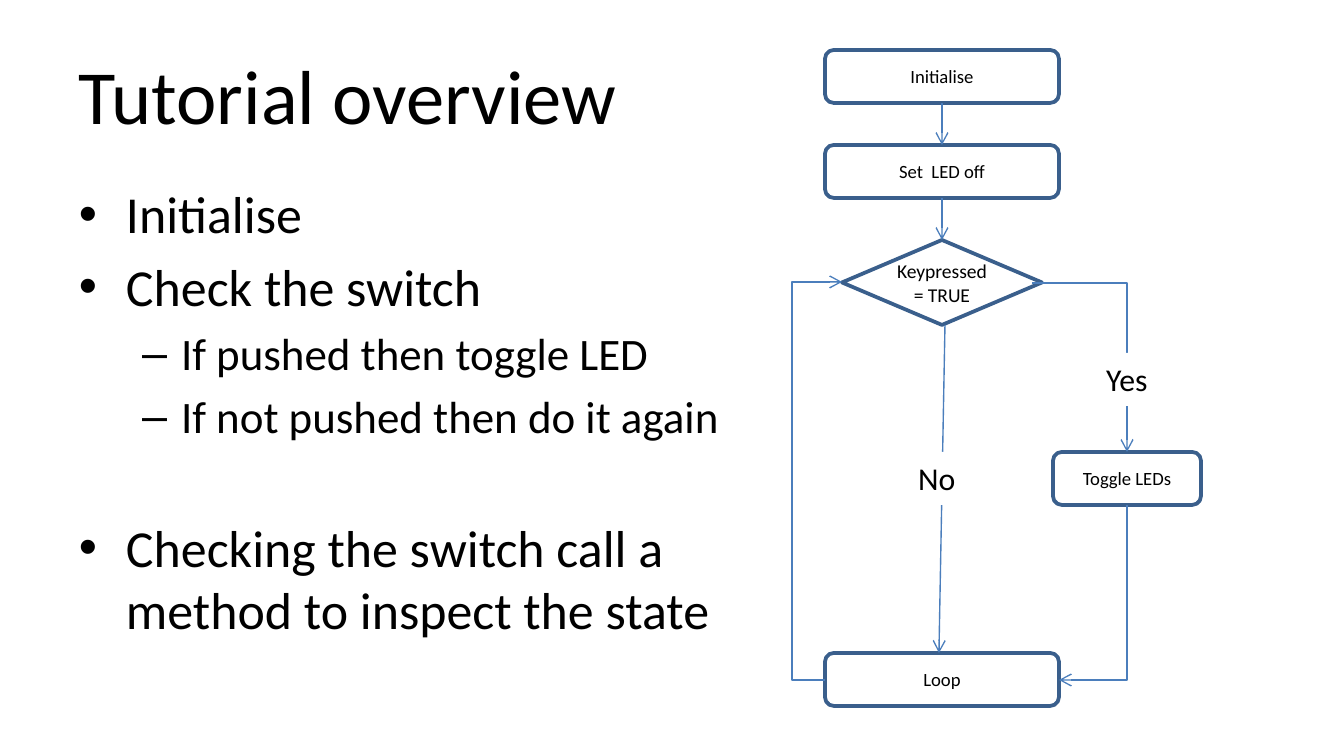
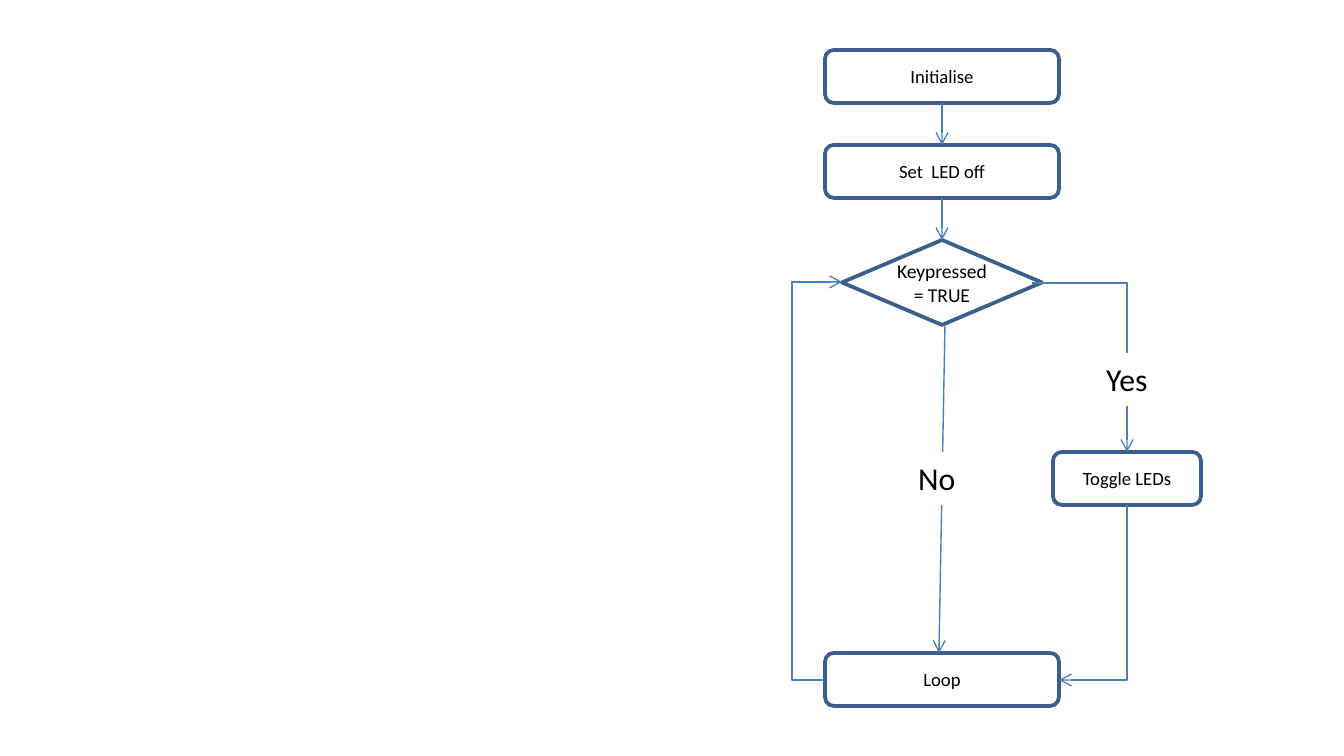
from lxml.etree import SubElement
from pptx import Presentation
from pptx.dml.color import RGBColor
from pptx.enum.shapes import MSO_CONNECTOR, MSO_SHAPE
from pptx.enum.text import MSO_ANCHOR, MSO_AUTO_SIZE, PP_ALIGN
from pptx.oxml.ns import qn
from pptx.util import Emu, Pt

FONT = "Calibri"
BLACK = RGBColor(0x00, 0x00, 0x00)
WHITE = RGBColor(0xFF, 0xFF, 0xFF)
OUTLINE = RGBColor(0x3A, 0x5F, 0x8C)
ARROW = RGBColor(0x4B, 0x7E, 0xBC)

STEP_LEFT, STEP_WIDTH, STEP_HEIGHT = 825, 234, 53
LEVELS = [(28, 47, -47), (24, 102, -39)]
TOP, BOTTOM = 0, 2


def px(length):
    return Emu(round(length * 914400 / 134.4))


def write(para, text, size, align=PP_ALIGN.LEFT, space=0):
    para.alignment = align
    para.space_before = Pt(space)
    span = para.add_run()
    span.text = text
    span.font.size = Pt(size)
    span.font.name = FONT
    span.font.color.rgb = BLACK


def set_insets(frame, side, end):
    frame.margin_left = frame.margin_right = px(side)
    frame.margin_top = frame.margin_bottom = px(end)


def place(holder, left, top, width, height, anchor):
    holder.left, holder.top = px(left), px(top)
    holder.width, holder.height = px(width), px(height)
    frame = holder.text_frame
    frame.auto_size = MSO_AUTO_SIZE.NONE
    frame.word_wrap = True
    frame.vertical_anchor = anchor
    set_insets(frame, 12, 6)
    return frame


def add_list(frame, items):
    for index, (level, text, space) in enumerate(items):
        para = frame.add_paragraph() if index else frame.paragraphs[0]
        size, margin, indent = LEVELS[level]
        para.level = level
        properties = para._p.get_or_add_pPr()
        properties.set("marL", str(px(margin)))
        properties.set("indent", str(px(indent)))
        write(para, text, 27.8 if level == 0 else 24.1, space=space)


def add_box(shapes, kind, left, top, width, height):
    box = shapes.add_shape(kind, px(left), px(top), px(width), px(height))
    box.shadow.inherit = False
    box.fill.solid()
    box.fill.fore_color.rgb = WHITE
    return box


def add_step(shapes, text, top, left=STEP_LEFT, width=STEP_WIDTH, height=STEP_HEIGHT,
             kind=MSO_SHAPE.FLOWCHART_ALTERNATE_PROCESS, size=10):
    box = add_box(shapes, kind, left, top, width, height)
    box.line.color.rgb = OUTLINE
    box.line.width = Pt(2)
    box.text_frame.word_wrap = True
    box.text_frame.vertical_anchor = MSO_ANCHOR.MIDDLE
    write(box.text_frame.paragraphs[0], text, size, align=PP_ALIGN.CENTER)
    return box


def add_label(shapes, text, left, top, width):
    box = add_box(shapes, MSO_SHAPE.RECTANGLE, left, top, width, STEP_HEIGHT)
    box.line.fill.background()
    frame = box.text_frame
    frame.word_wrap = False
    frame.auto_size = MSO_AUTO_SIZE.SHAPE_TO_FIT_TEXT
    frame.vertical_anchor = MSO_ANCHOR.TOP
    write(frame.paragraphs[0], text, 17)


def add_arrow(shapes, start, end, kind=MSO_CONNECTOR.STRAIGHT):
    arrow = shapes.add_connector(kind, *map(px, start + end))
    arrow.line.color.rgb = ARROW
    arrow.line.width = Pt(0.75)
    properties = arrow.element.spPr
    SubElement(properties.find(qn("a:ln")), qn("a:tailEnd"), type="arrow")
    SubElement(properties, qn("a:effectLst"))
    return arrow


def join_down(shapes, upper, lower):
    arrow = add_arrow(shapes, (0, 0), (0, 0))
    arrow.begin_connect(upper, BOTTOM)
    arrow.end_connect(lower, TOP)


def add_loop_back(shapes, start, end, turn):
    arrow = add_arrow(shapes, start, end, MSO_CONNECTOR.ELBOW)
    ratio = round(100000 * (turn - start[0]) / (end[0] - start[0]))
    guides = arrow.element.spPr.find(qn("a:prstGeom")).get_or_add_avLst()
    SubElement(guides, qn("a:gd"), name="adj1", fmla=f"val {ratio}")


def add_corner(shapes, start, end, down_first=False):
    if down_first:
        across, down = start[0] - end[0], end[1] - start[1]
        left = (start[0] + end[0] - down) / 2
        top = (start[1] + end[1] - across) / 2
        start, end = (left, top), (left + down, top + across)
    arrow = add_arrow(shapes, start, end, MSO_CONNECTOR.ELBOW)
    properties = arrow.element.spPr
    properties.find(qn("a:prstGeom")).set("prst", "bentConnector2")
    if down_first:
        properties.find(qn("a:xfrm")).set("rot", "5400000")


def add_flowchart(shapes):
    initialise = add_step(shapes, "Initialise", 50)
    led_off = add_step(shapes, "Set  LED off", 145)
    decision = add_step(shapes, "Keypressed = TRUE", 240, left=842, width=200, height=85,
                        kind=MSO_SHAPE.FLOWCHART_DECISION, size=10.5)
    set_insets(decision.text_frame, 0, 0)
    join_down(shapes, initialise, led_off)
    join_down(shapes, led_off, decision)
    add_step(shapes, "Loop", 653)
    add_loop_back(shapes, (825, 680), (842, 282), 792)
    add_step(shapes, "Toggle LEDs", 452, left=1053, width=148)
    add_arrow(shapes, (945, 325), (939, 653))
    add_corner(shapes, (1032, 283), (1127, 452))
    add_corner(shapes, (1127, 505), (1059, 680), down_first=True)
    add_label(shapes, "No", 905, 452, 64)
    add_label(shapes, "Yes", 1093, 353, 69)


def add_overview(deck):
    page = deck.slides.add_slide(deck.slide_layouts[1])
    title, body = page.placeholders
    frame = place(title, 67, 31, 1210, 126, MSO_ANCHOR.MIDDLE)
    write(frame.paragraphs[0], "Tutorial overview", 41)
    frame = place(body, 67, 176, 700, 499, MSO_ANCHOR.TOP)
    add_list(frame, [
        (0, "Initialise", 0),
        (0, "Check the switch", 5.6),
        (1, "If pushed then toggle LED", 4.8),
        (1, "If not pushed then do it again", 4.8),
        (0, "Checking the switch call a method to inspect the state", 39),
    ])
    add_flowchart(page.shapes)


def add_flowchart_page(deck):
    page = deck.slides.add_slide(deck.slide_layouts[6])
    add_flowchart(page.shapes.add_group_shape().shapes)


def main():
    deck = Presentation()
    deck.slide_width, deck.slide_height = px(1344), px(756)
    add_overview(deck)
    add_flowchart_page(deck)
    deck.save("out.pptx")


if __name__ == "__main__":
    main()
